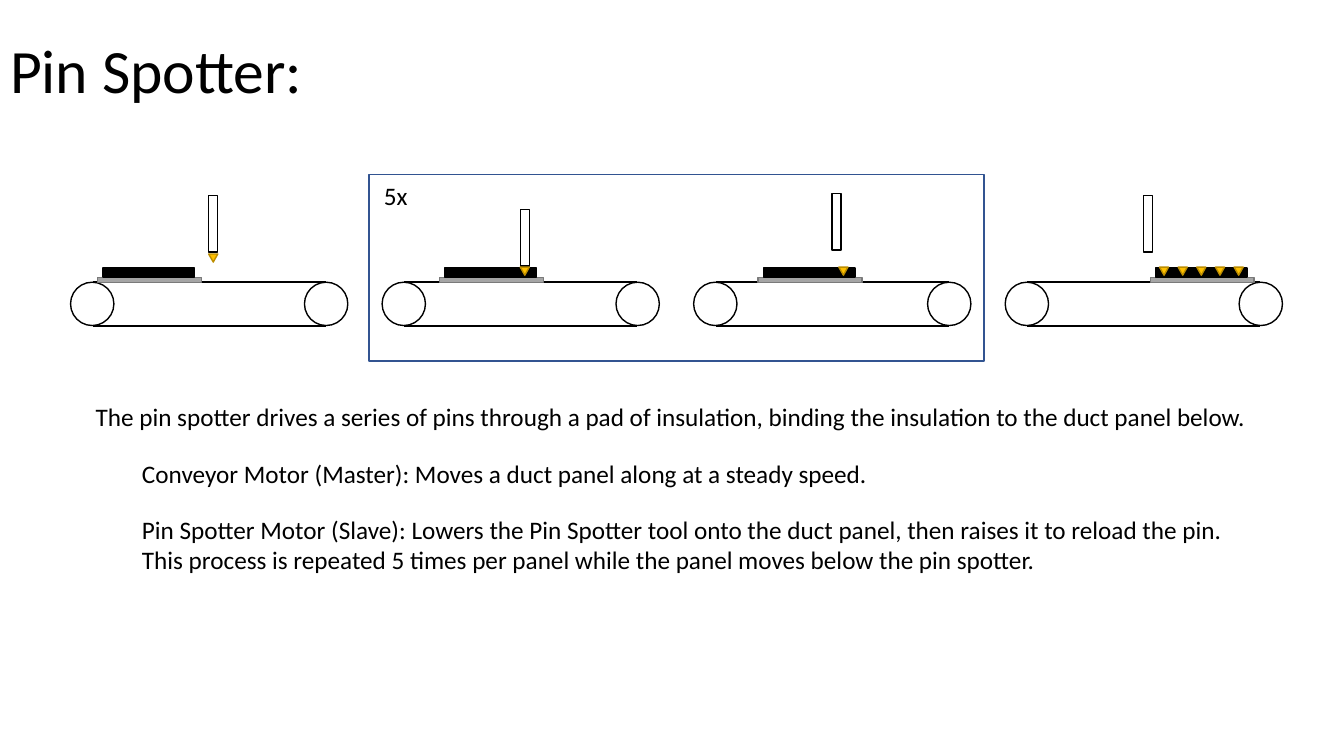
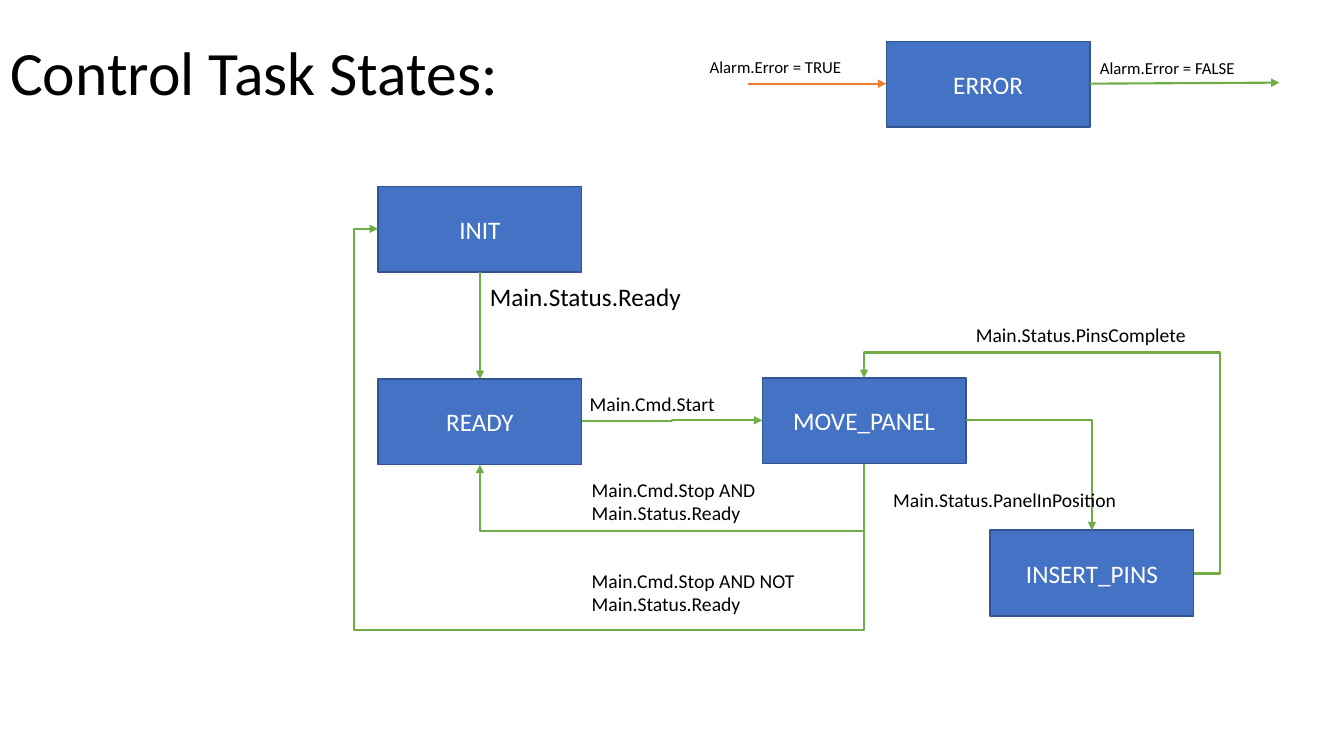
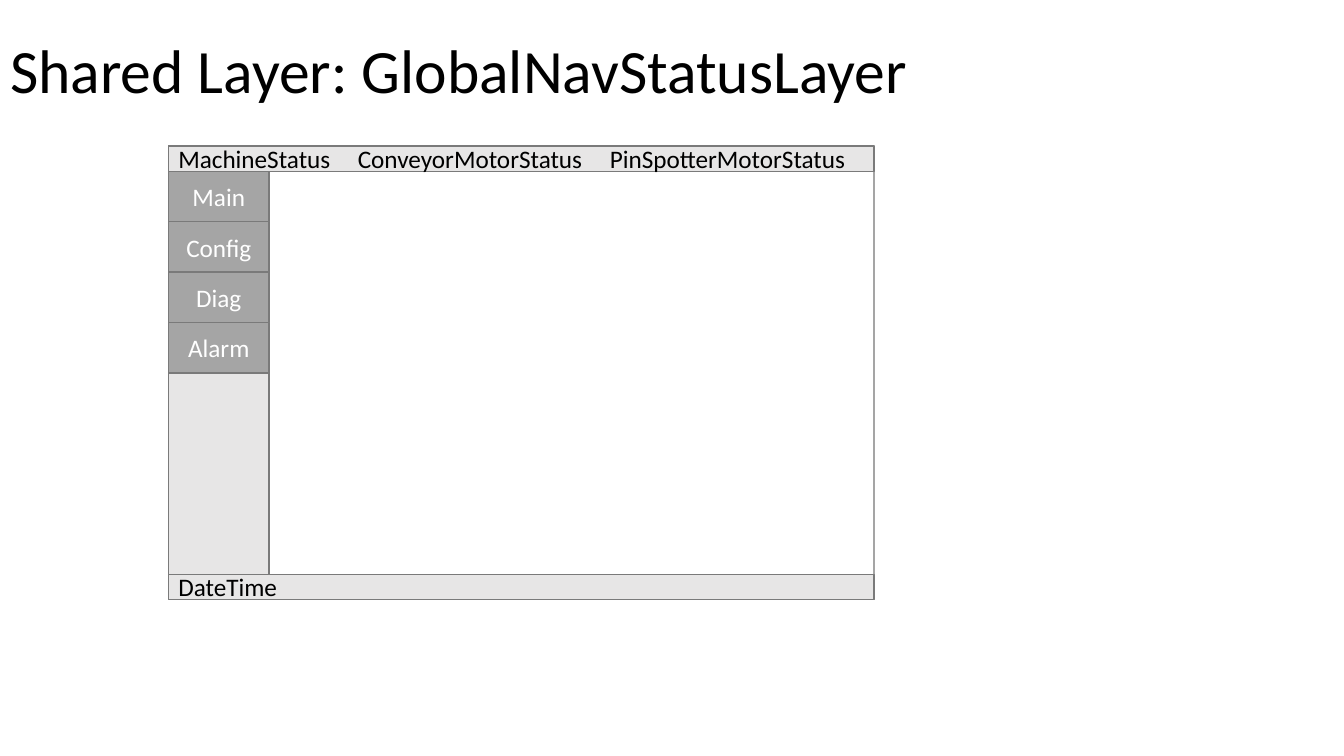
from lxml import etree
from pptx import Presentation
from pptx import util as u
from pptx.dml import color
from pptx.enum import shapes, text
from pptx.oxml import ns

EMU_PER_PX = 9144
FONT = "Calibri"
BLACK, WHITE = "000000", "FFFFFF"
BLUE, NAVY = "4472C4", "325491"
GREEN, ORANGE = "70AD47", "ED7D31"
GREY, DARK_GREY, LIGHT_GREY = "A5A5A5", "7A7A7A", "E7E6E6"
GOLD, DARK_GOLD = "FFC000", "BD8E00"
RECT = shapes.MSO_SHAPE.RECTANGLE
OVAL = shapes.MSO_SHAPE.OVAL
TRIANGLE = shapes.MSO_SHAPE.ISOSCELES_TRIANGLE


def px(*lengths):
    return [u.Emu(round(length * EMU_PER_PX)) for length in lengths]


def rgb(code):
    return color.RGBColor.from_string(code)


def add_xml(parent, tag, **attributes):
    return etree.SubElement(parent, ns.qn(tag), attributes)


class Pages:
    def __init__(self, deck):
        self.deck = deck
        deck.slide_width, deck.slide_height = px(1333, 750)

    def start(self, title, top=0):
        self.page = self.deck.slides.add_slide(self.deck.slide_layouts[5])
        self.canvas = self.page.shapes
        box = self.page.shapes.title
        box.left, box.top, box.width, box.height = px(0, top, 1150, 145)
        box.text_frame.vertical_anchor = text.MSO_ANCHOR.MIDDLE
        self.set_text(box, title, 44, BLACK, text.PP_ALIGN.LEFT)
        box.text_frame.paragraphs[0].line_spacing = 0.9

    def start_group(self):
        self.canvas = self.page.shapes.add_group_shape().shapes

    def end_group(self):
        self.canvas = self.page.shapes

    def set_text(self, box, words, size, ink, align):
        box.text_frame.text = words
        para = box.text_frame.paragraphs[0]
        para.alignment = align
        para.font.name = FONT
        para.font.size = u.Pt(size)
        para.font.color.rgb = rgb(ink)

    def shape(self, kind, at, fill, line, label=None):
        shape = self.canvas.add_shape(kind, *px(*at))
        shape.shadow.inherit = False
        if fill:
            shape.fill.solid()
            shape.fill.fore_color.rgb = rgb(fill)
        else:
            shape.fill.background()
        shape.line.color.rgb = rgb(line)
        shape.line.width = u.Pt(1)
        if label:
            self.set_text(shape, label, 18, WHITE, text.PP_ALIGN.CENTER)
        return shape

    def label(self, at, words, size=18, wrap=False):
        box = self.canvas.add_textbox(*px(*at))
        box.text_frame.word_wrap = wrap
        box.text_frame.auto_size = text.MSO_AUTO_SIZE.SHAPE_TO_FIT_TEXT
        self.set_text(box, words, size, BLACK, text.PP_ALIGN.LEFT)

    def connector(self, kind, start, end, ink, arrow):
        connector = self.canvas.add_connector(kind, *px(*start, *end))
        connector.line.color.rgb = rgb(ink)
        connector.line.width = u.Pt(1.5)
        if arrow:
            add_xml(connector.get_or_add_ln(), "a:tailEnd", type="triangle")
        add_xml(connector.element.spPr, "a:effectLst")
        return connector

    def line(self, start, end, ink=BLACK, arrow=False):
        self.connector(shapes.MSO_CONNECTOR.STRAIGHT, start, end, ink, arrow)

    def elbow(self, start, end, bends, adjusts=(), turned=False):
        if turned:
            mid_x, mid_y = (start[0] + end[0]) / 2, (start[1] + end[1]) / 2
            half_x, half_y = (end[1] - start[1]) / 2, (start[0] - end[0]) / 2
            start = mid_x - half_x, mid_y - half_y
            end = mid_x + half_x, mid_y + half_y
        connector = self.connector(shapes.MSO_CONNECTOR.ELBOW, start, end, GREEN, True)
        properties = connector.element.spPr
        if turned:
            properties.find(ns.qn("a:xfrm")).set("rot", "5400000")
        geometry = properties.find(ns.qn("a:prstGeom"))
        geometry.set("prst", f"bentConnector{bends + 1}")
        guides = geometry.find(ns.qn("a:avLst"))
        if guides is None:
            guides = add_xml(geometry, "a:avLst")
        for number, share in enumerate(adjusts, 1):
            add_xml(guides, "a:gd", name=f"adj{number}", fmla=f"val {round(share * 100000)}")

    def conveyor(self, left, tool_top, panel_left, pins):
        self.start_group()
        for wheel_left in (left, left + 232):
            self.shape(OVAL, (wheel_left, 280, 43, 43), WHITE, BLACK)
        for belt_y in (280, 323):
            self.line((left + 22, belt_y), (left + 253, belt_y))
        self.shape(RECT, (left + 137, tool_top, 9, 56), WHITE, BLACK)
        self.shape(RECT, (panel_left, 275, 103, 5), GREY, DARK_GREY)
        self.shape(RECT, (panel_left + 5, 266, 91, 9), BLACK, BLACK)
        for pin_left, pin_top in pins:
            pin = self.shape(TRIANGLE, (pin_left, pin_top, 9, 8), GOLD, DARK_GOLD)
            pin.rotation = 180
        self.end_group()


def pin_spotter(pages):
    pages.start("Pin Spotter:")
    stages = [
        (194, 97, [(207, 252)]),
        (208, 436, [(516, 265)]),
        (192, 752, [(832, 265)]),
        (194, 1141, [(1150 + 18.5 * number, 265) for number in range(5)]),
    ]
    for number, stage in enumerate(stages):
        pages.conveyor(70 + 309 * number, *stage)
    pages.shape(RECT, (366, 173, 610, 185), None, NAVY)
    pages.label((371, 174, 44, 40), "5x")
    pages.label((85, 393, 1171, 40), "The pin spotter drives a series of pins through a pad of "
                "insulation, binding the insulation to the duct panel below.")
    pages.label((131, 450, 741, 40),
                "Conveyor Motor (Master): Moves a duct panel along at a steady speed.")
    pages.label((131, 505, 1126, 71), "Pin Spotter Motor (Slave): Lowers the Pin Spotter tool onto "
                "the duct panel, then raises it to reload the pin. This process is repeated 5 times "
                "per panel while the panel moves below the pin spotter.", wrap=True)


def control_states(pages):
    pages.start("Control Task States:", 2)
    states = [("INIT", 375, 185), ("READY", 375, 376), ("MOVE_PANEL", 756, 375),
              ("ERROR", 879, 41), ("INSERT_PINS", 982, 526)]
    for name, left, top in states:
        pages.shape(RECT, (left, top, 202, 85), BLUE, NAVY, name)

    pages.line((476, 270), (476, 376), GREEN, True)
    pages.line((742, 83), (879, 83), ORANGE, True)
    pages.line((1081, 83), (1269, 82), GREEN, True)
    pages.elbow((577, 418), (756, 417), 2)
    pages.elbow((857, 460), (476, 461), 2, [68], turned=True)
    pages.elbow((857, 460), (375, 227), 3, [-0.71, 1.05], turned=True)
    pages.elbow((958, 417), (1083, 526), 1)
    pages.elbow((1184, 569), (857, 375), 3, [-0.08, 1.13])

    pages.label((476, 274, 561, 40), "Main.Status.Ready", wrap=True)
    conditions = [
        ("Main.Cmd.Start", 575, 384, 233, 34),
        ("Main.Cmd.Stop AND Main.Status.Ready", 577, 469, 233, 57),
        ("Main.Cmd.Stop AND NOT Main.Status.Ready", 577, 559, 233, 57),
        ("Main.Status.PanelInPosition", 876, 479, 385, 34),
        ("Main.Status.PinsComplete", 958, 315, 233, 34),
    ]
    for words, *at in conditions:
        pages.label(at, words, 14, True)
    pages.label((694, 51, 156, 30), "Alarm.Error = TRUE", 12)
    pages.label((1081, 52, 155, 30), "Alarm.Error = FALSE", 12)


def shared_layer(pages):
    pages.start("Shared Layer: GlobalNavStatusLayer")
    left = 167
    pages.shape(RECT, (left, 145, 700, 450), WHITE, GREY)
    for number, name in enumerate(["Main", "Config", "Diag", "Alarm"]):
        pages.shape(RECT, (left, 170 + 50 * number, 100, 50), GREY, DARK_GREY, name)
    for top, width, height in [(145, 700, 25), (570, 700, 25), (370, 100, 200)]:
        pages.shape(RECT, (left, top, width, height), LIGHT_GREY, DARK_GREY)
    statuses = [("MachineStatus", left, 137, 173), ("ConveyorMotorStatus", 345, 137, 245),
                ("PinSpotterMotorStatus", 595, 137, 256), ("DateTime", left, 562, 119)]
    for words, status_left, top, width in statuses:
        pages.label((status_left, top, width, 40), words)


def main():
    deck = Presentation()
    pages = Pages(deck)
    pin_spotter(pages)
    control_states(pages)
    shared_layer(pages)
    deck.save("out.pptx")


if __name__ == "__main__":
    main()
